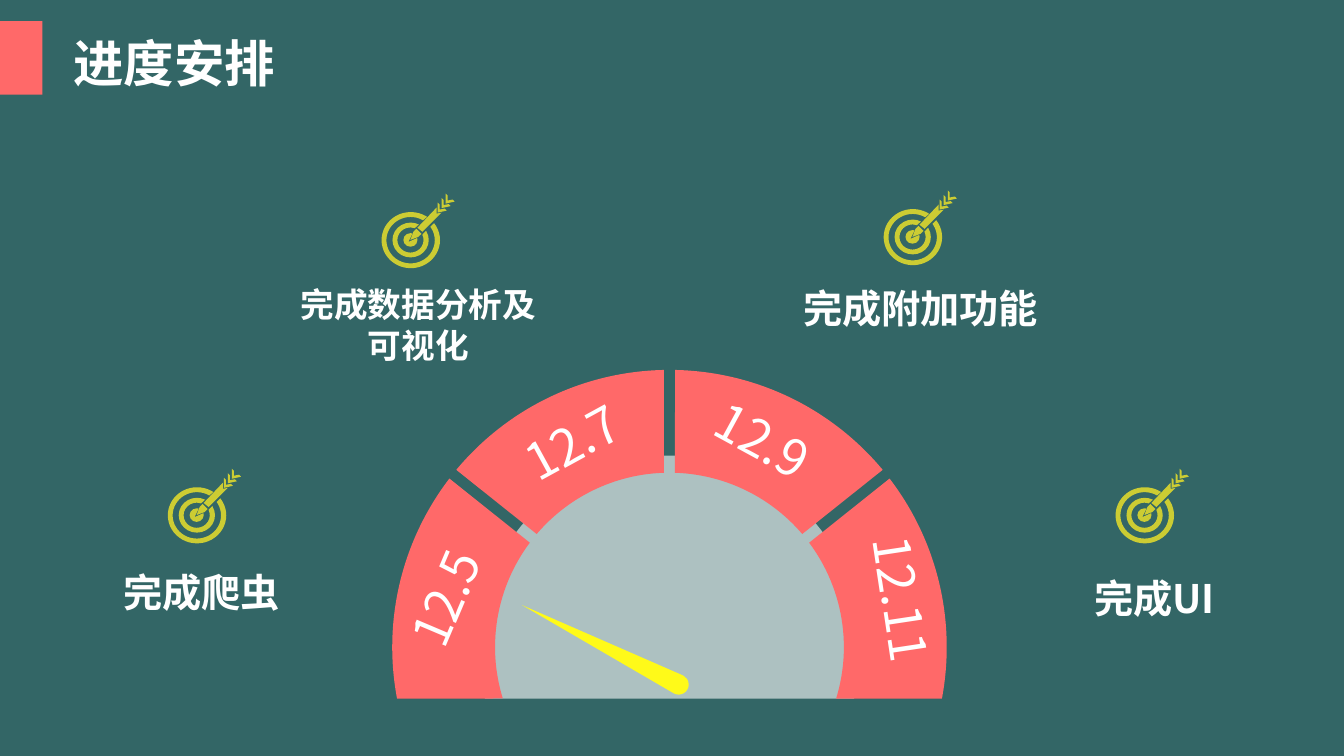
from math import asin, cos, degrees, radians, sin

from lxml import etree
from pptx import Presentation
from pptx import util as u
from pptx.dml.color import RGBColor
from pptx.enum import shapes, text
from pptx.oxml.ns import qn

FONT = "Noto Sans CJK SC"
CORAL, WHITE, OLIVE = "FF6969", "FFFFFF", "CCCC33"
STEPS = 36
rgb = RGBColor.from_string


def draw(parent, center, parts, color, squash=1):
    pts, arcs = [], []
    for part in parts:
        if len(part) == 2:
            pts.append(part)
            continue
        r, start, end = part
        arcs.append((len(pts), r, start, end))
        for i in range(STEPS + 1):
            a = radians(start + (end - start) * i / STEPS)
            pts.append((r * cos(a), -r * squash * sin(a)))
    pts = [(u.Inches(center[0] + x), u.Inches(center[1] + y)) for x, y in pts]
    fb = parent.build_freeform(*pts[0])
    fb.add_line_segments(pts[1:], close=True)
    sp = fb.convert_to_shape()
    outline = next(sp._element.iter(qn("a:path")))
    steps = list(outline)
    for first, r, start, end in arcs:
        arc = etree.Element(qn("a:arcTo"))
        arc.set("wR", str(u.Inches(r)))
        arc.set("hR", str(u.Inches(r * squash)))
        arc.set("stAng", str(round(-start % 360 * 60000)))
        arc.set("swAng", str(round((start - end) * 60000)))
        steps[first].addnext(arc)
        for step in steps[first + 1:first + STEPS + 1]:
            outline.remove(step)
    sp.shadow.inherit = False
    sp.fill.solid()
    sp.fill.fore_color.rgb = rgb(color)
    sp.line.fill.background()
    return sp


def write(parent, box, string, size, bold=False, wrap=False, rotation=0):
    sp = parent.add_textbox(*[u.Inches(v) for v in box])
    sp.rotation = rotation
    tf = sp.text_frame
    tf.word_wrap = wrap
    tf.auto_size = text.MSO_AUTO_SIZE.SHAPE_TO_FIT_TEXT
    p = tf.paragraphs[0]
    p.text = string
    p.alignment = text.PP_ALIGN.CENTER if wrap else text.PP_ALIGN.LEFT
    p.font.size = u.Pt(size)
    p.font.bold = bold
    p.font.color.rgb = rgb(WHITE)
    p.font.name = FONT
    ea = etree.SubElement(p._p.pPr.find(qn("a:defRPr")), qn("a:ea"))
    ea.set("typeface", FONT)


prs = Presentation()
prs.slide_width, prs.slide_height = u.Inches(13.33), u.Inches(7.5)
s = prs.slides.add_slide(prs.slide_layouts[6])
s.background.fill.solid()
s.background.fill.fore_color.rgb = rgb("336666")

sp = s.shapes.add_shape(
    shapes.MSO_SHAPE.RECTANGLE, *[u.Inches(v) for v in (-0.01, 0.21, 0.43, 0.73)]
)
sp.shadow.inherit = False
sp.fill.solid()
sp.fill.fore_color.rgb = rgb(CORAL)
sp.line.fill.background()
write(s.shapes, (0.63, 0.27, 2.2, 0.71), "进度安排", 36, bold=True)

hub = (6.64, 6.42)
drop, half_gap = 0.51, 0.055
dial = 1.9
tilt = degrees(asin(drop / dial))
sp = draw(s.shapes, hub, [(dial, 180 + tilt, -tilt)], WHITE)
fill = sp._element.spPr.find(qn("a:solidFill"))
etree.SubElement(fill[0], qn("a:alpha")).set("val", "60000")

sp = draw(s.shapes, (6, 7.24), [(0, -1.74), (0.1, 0, -180)], "FFFA19")
sp.rotation = 296.9

outer, inner = 2.75, 1.73
splits = [141.4, 90, 38.6]
spans = []
for r in (outer, inner):
    tilt, gap = degrees(asin(drop / r)), degrees(asin(half_gap / r))
    starts = [180 + tilt] + [a - gap for a in splits]
    ends = [a + gap for a in splits] + [-tilt]
    spans.append(list(zip(starts, ends)))
dates = [
    ("12.5", (3.82, 5.56, 1.21, 0.71), 293),
    ("12.7", (5.09, 4.02, 1.21, 0.71), 331.3),
    ("12.9", (6.98, 4.02, 1.21, 0.71), 28.6),
    ("12.11", (8.19, 5.62, 1.51, 0.71), 81.5),
]
for (date, box, rotation), (a, b), (c, d) in zip(dates, *spans):
    grp = s.shapes.add_group_shape()
    draw(grp.shapes, hub, [(outer, a, b), (inner, d, c)], CORAL)
    write(grp.shapes, box, date, 36, rotation=rotation)

feather = [(0.29, -0.3), (0.29, -0.35), (0.27, -0.37), (0.27, -0.27), (0.36, -0.29), (0.34, -0.31)]
target = [
    [(0.07, 72, 376), (-0.02, 0.02)],
    [(0.29, 55, 396), (0.24, 394, 58)],
    [(0.18, 62, 391), (0.13, 384, 70)],
    [(0.11, -0.06), (0.06, -0.11), (0.03, -0.08), (0, 0), (0.08, -0.03)],
    [(0.26, -0.32), (0.07, -0.12), (0.12, -0.08), (0.31, -0.27), (0.26, -0.26)],
]
target += [[(x + 0.04 * i, y - 0.045 * i) for x, y in feather] for i in range(3)]

tasks = [
    ("完成爬虫", 28, (1.95, 5.11), (0.57, 5.59, 2.86, 0.57)),
    ("完成数据分析及可视化", 24, (4.07, 2.38), (2.72, 2.77, 2.86, 0.91)),
    ("完成附加功能", 28, (9.05, 2.35), (7.7, 2.77, 2.86, 0.57)),
    ("完成UI", 28, (11.35, 5.11), (10.02, 5.65, 2.86, 0.57)),
]
for task, size, center, box in tasks:
    grp = s.shapes.add_group_shape()
    for parts in target:
        draw(grp.shapes, center, parts, OLIVE, squash=0.96)
    write(s.shapes, box, task, size, bold=True, wrap=True)

prs.save("out.pptx")
